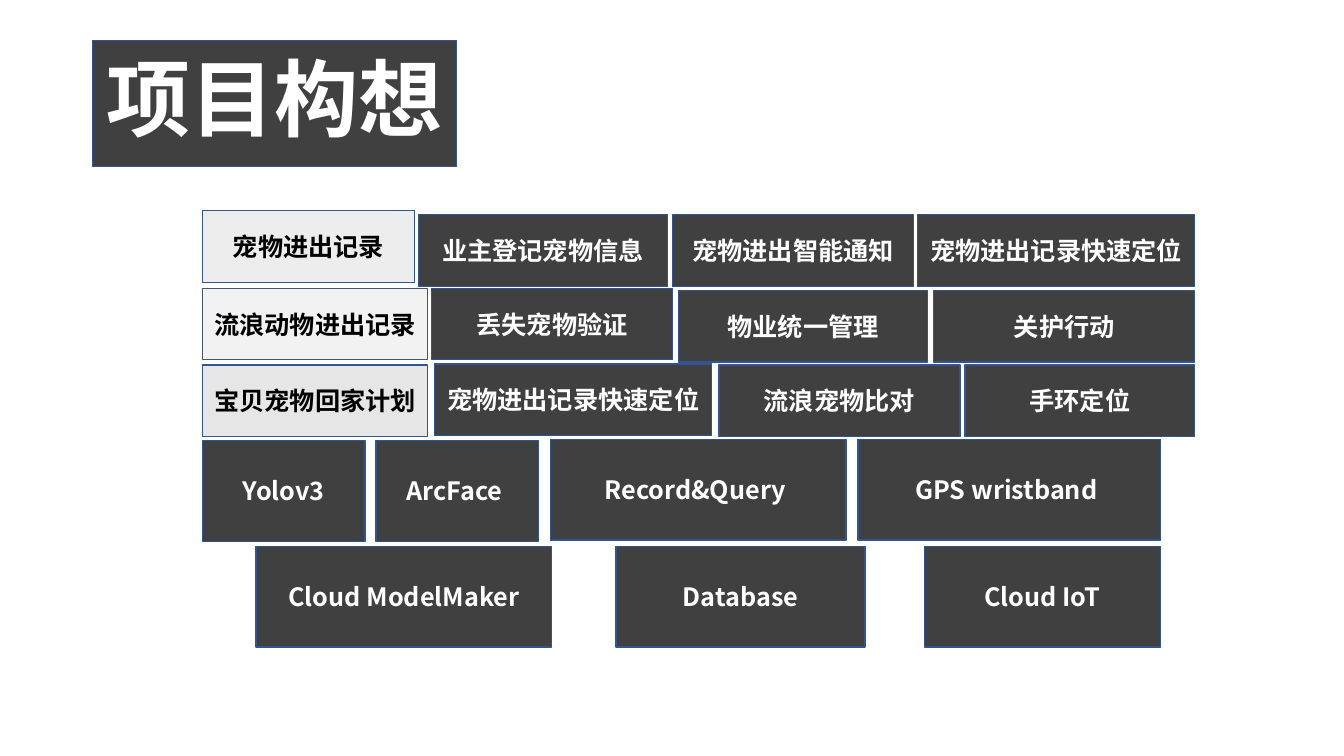
"""Builds the project concept slide as rows of labelled blocks."""
from lxml.etree import SubElement as Sub
from pptx import Presentation as Deck
from pptx.dml.color import RGBColor as RGB
from pptx.enum.shapes import MSO_SHAPE as Shape
from pptx.enum.text import MSO_ANCHOR as Anchor, MSO_AUTO_SIZE as Fit, PP_ALIGN as Align
from pptx.oxml.ns import qn
from pptx.util import Pt

PX = 9144
FACE = "Noto Sans CJK SC"
WHITE = RGB(0xFF, 0xFF, 0xFF)
BLACK = RGB(0x00, 0x00, 0x00)
DARK = RGB(0x40, 0x40, 0x40)
BLUE = RGB(0x32, 0x54, 0x91)
SLATE = RGB(0x44, 0x54, 0x6A)
PALE = RGB(0xED, 0xED, 0xED)
LIGHT = RGB(0xF2, 0xF2, 0xF2)
GREY = RGB(0xE7, 0xE6, 0xE6)

LEFT = 201
LOW = 71
TALL = 100

HEADS = [
    ("宠物进出记录", 209, 210, PALE, BLUE),
    ("流浪动物进出记录", 286, 223, LIGHT, SLATE),
    ("宝贝宠物回家计划", 362, 223, GREY, BLUE),
]
TASKS = [
    ("业主登记宠物信息", 415, 213, 247),
    ("宠物进出智能通知", 667, 213, 239),
    ("宠物进出记录快速定位", 910, 213, 275),
    ("丢失宠物验证", 428, 286, 239),
    ("物业统一管理", 673, 288, 247),
    ("关护行动", 926, 288, 259),
    ("宠物进出记录快速定位", 431, 361, 275),
    ("流浪宠物比对", 713, 362, 239),
    ("手环定位", 957, 362, 228),
]
TOOLS = [
    ("Yolov3", 201, 437, 161),
    ("ArcFace ", 373, 437, 161),
    ("Record&Query ", 546, 436, 293),
    ("GPS wristband ", 851, 436, 300),
    ("Cloud ModelMaker", 254, 542, 293),
    ("Database", 611, 542, 247),
    ("Cloud IoT", 917, 542, 234),
]


class Page:
    """Holds the deck, its current slide and the block style."""

    def __init__(self, wide, high):
        self.deck = Deck()
        self.deck.slide_width = wide * PX
        self.deck.slide_height = high * PX
        self.slide = self.deck.slides.add_slide(self.deck.slide_layouts[5])

    def style(self, shape, text, size, fill, line, ink):
        shape.fill.solid()
        shape.fill.fore_color.rgb = fill
        shape.line.color.rgb = line
        shape.line.width = Pt(1)
        frame = shape.text_frame
        frame.text = text
        frame.word_wrap = True
        frame.auto_size = Fit.NONE
        frame.vertical_anchor = Anchor.MIDDLE
        para = frame.paragraphs[0]
        para.alignment = Align.CENTER
        font = para.font
        font.name = FACE
        font.size = Pt(size)
        font.bold = True
        font.color.rgb = ink
        props = para._p.pPr.find(qn("a:defRPr"))
        Sub(props, qn("a:ea")).set("typeface", FACE)
        return para

    def title(self, text, x, y, wide, high):
        shape = self.slide.shapes.title
        shape.left, shape.top = x * PX, y * PX
        shape.width, shape.height = wide * PX, high * PX
        para = self.style(shape, text, 60, DARK, BLUE, WHITE)
        para.line_spacing = 0.9

    def block(self, text, x, y, wide, high, fill=DARK, line=BLUE, ink=WHITE):
        box = (n * PX for n in (x, y, wide, high))
        shape = self.slide.shapes.add_shape(Shape.RECTANGLE, *box)
        shape.shadow.inherit = False
        self.style(shape, text, 18, fill, line, ink)


def main():
    page = Page(1333, 750)
    page.title("项目构想", 92, 40, 361, 125)
    for text, x, y, wide in TOOLS:
        page.block(text, x, y, wide, TALL)
    for text, y, wide, fill, line in HEADS:
        page.block(text, LEFT, y, wide, LOW, fill, line, BLACK)
    for text, x, y, wide in TASKS:
        page.block(text, x, y, wide, LOW)
    page.deck.save("out.pptx")


if __name__ == "__main__":
    main()
